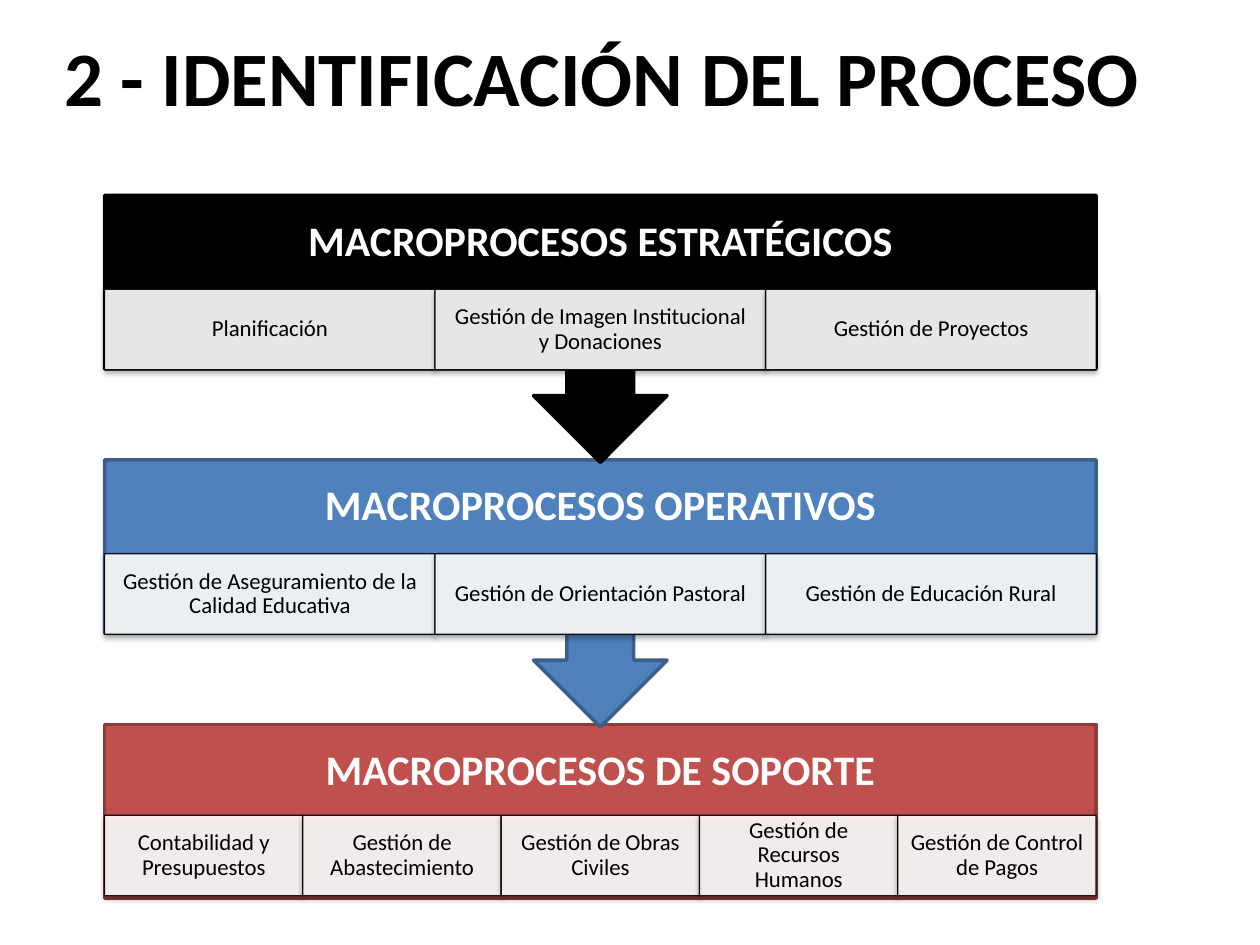
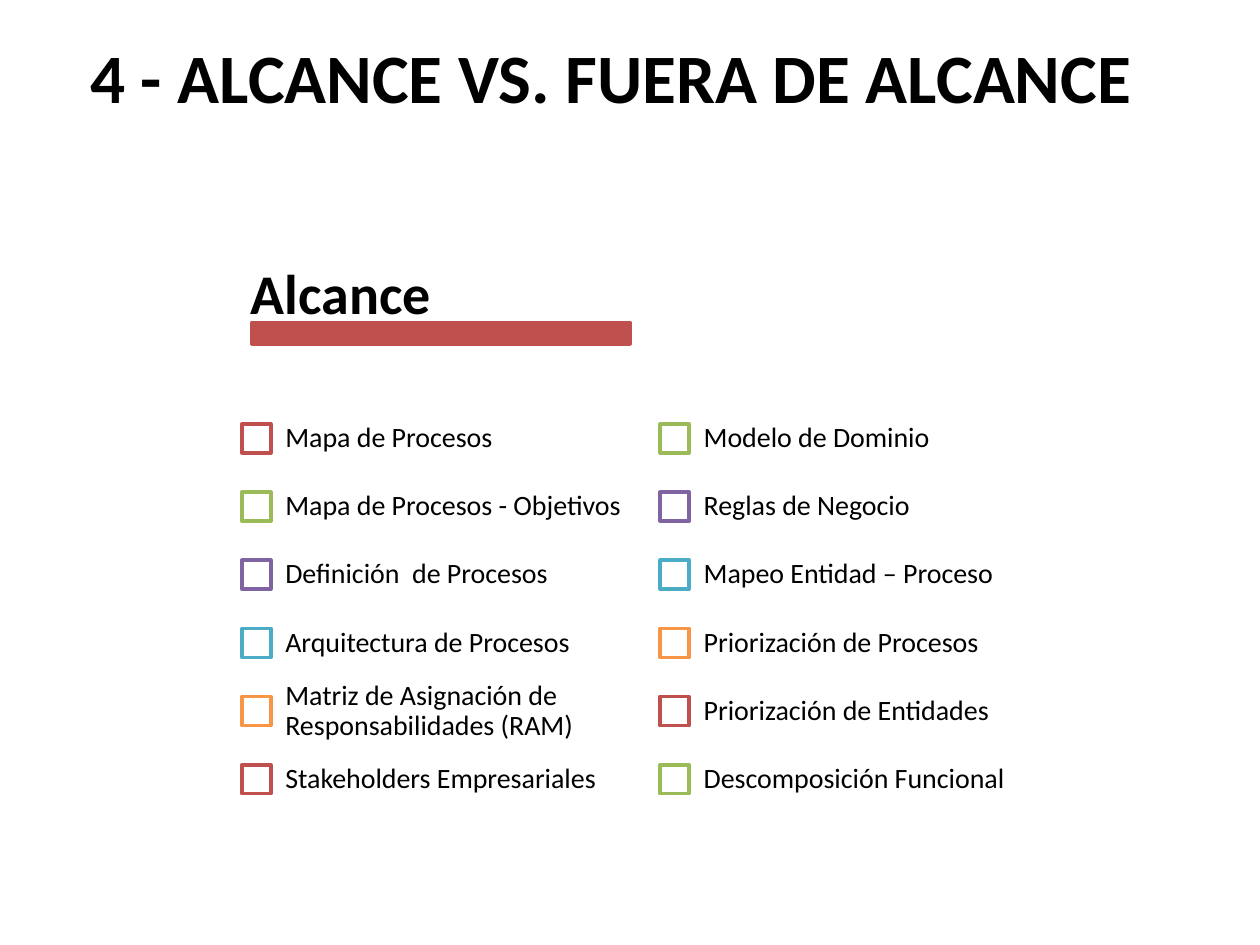
from lxml import etree
from pptx import Presentation
from pptx.dml.color import RGBColor
from pptx.enum.shapes import MSO_SHAPE
from pptx.enum.text import MSO_ANCHOR, PP_ALIGN
from pptx.oxml.ns import qn
from pptx.util import Inches, Pt

RECT = MSO_SHAPE.RECTANGLE
CALLOUT = MSO_SHAPE.DOWN_ARROW_CALLOUT
MIDDLE = MSO_ANCHOR.MIDDLE
LEFT, CENTER = PP_ALIGN.LEFT, PP_ALIGN.CENTER

COLS, ROWS = 100, 75
FONT = "Calibri"
COLORS = {
    "black": "000000", "white": "FFFFFF",
    "blue": "4F81BD", "navy": "3A5F8C",
    "red": "C0504D", "wine": "8E3B39",
    "green": "9BBB59", "purple": "8064A2",
    "teal": "4BACC6", "orange": "F79646",
}
CYCLE = ["red", "green", "purple", "teal", "orange"]

# heading, fill, edge, cell offset below the band's top, cells
BANDS = [
    ("MACROPROCESOS ESTRATÉGICOS", "black", "black", 7.45,
     ["Planificación", "Gestión de Imagen Institucional y Donaciones",
      "Gestión de Proyectos"]),
    ("MACROPROCESOS OPERATIVOS", "blue", "navy", 7.45,
     ["Gestión de Aseguramiento de la Calidad Educativa",
      "Gestión de Orientación Pastoral", "Gestión de Educación Rural"]),
    ("MACROPROCESOS DE SOPORTE", "red", "wine", 7.2,
     ["Contabilidad y Presupuestos", "Gestión de Abastecimiento",
      "Gestión de Obras Civiles", "Gestión de Recursos Humanos",
      "Gestión de Control de Pagos"]),
]
SCOPE = [
    "Mapa de Procesos", "Mapa de Procesos - Objetivos",
    "Definición  de Procesos", "Arquitectura de Procesos",
    "Matriz de Asignación de Responsabilidades (RAM)",
    "Stakeholders Empresariales",
    "Modelo de Dominio", "Reglas de Negocio", "Mapeo Entidad – Proceso",
    "Priorización de Procesos", "Priorización de Entidades",
    "Descomposición Funcional",
]


def rgb(name):
    return RGBColor.from_string(COLORS[name])


def fade(fill, share):
    """Make a solid fill partly see-through; share is the opacity in percent."""
    color = fill.find(".//" + qn("a:srgbClr"))
    etree.SubElement(color, qn("a:alpha"), val=str(share * 1000))


class Deck:
    def __init__(self):
        self.prs = Presentation()
        self.prs.slide_width = Inches(10)
        self.prs.slide_height = Inches(7.5)
        self.slide = None

    def place(self, col, row, wide, high):
        """Turn grid columns and rows into slide lengths."""
        dx = self.prs.slide_width / COLS
        dy = self.prs.slide_height / ROWS
        return [round(n) for n in (col * dx, row * dy, wide * dx, high * dy)]

    def page(self, title, size, col):
        self.slide = self.prs.slides.add_slide(self.prs.slide_layouts[6])
        self.text(title, (col, 1.4, 90, 10.1), size, bold=True, align=CENTER)

    def label(self, shape, text, size, color="black", bold=False,
              align=LEFT, pad=(0.1, 0.05), lead=0.9):
        frame = shape.text_frame
        frame.text = text
        frame.word_wrap = True
        frame.vertical_anchor = MIDDLE
        frame.margin_left = frame.margin_right = Inches(pad[0])
        frame.margin_top = frame.margin_bottom = Inches(pad[1])
        for para in frame.paragraphs:
            para.alignment = align
            para.line_spacing = lead
            for run in para.runs:
                run.font.name = FONT
                run.font.size = Pt(size)
                run.font.bold = bold
                run.font.color.rgb = rgb(color)

    def text(self, text, box, size, **style):
        shape = self.slide.shapes.add_textbox(*self.place(*box))
        self.label(shape, text, size, **style)

    def block(self, box, fill, edge, kind=RECT, width=2):
        shape = self.slide.shapes.add_shape(kind, *self.place(*box))
        shape.shadow.inherit = False
        shape.fill.solid()
        shape.fill.fore_color.rgb = rgb(fill)
        shape.line.color.rgb = rgb(edge)
        shape.line.width = Pt(width)
        return shape

    def cell(self, text, box):
        """Draw a slightly see-through box with a soft shadow below it."""
        shape = self.block(box, "white", "black", width=0.75)
        props = shape._element.spPr
        fade(props.find(qn("a:solidFill")), 90)
        fade(props.find(qn("a:ln")), 90)
        glow = etree.SubElement(
            props.find(qn("a:effectLst")), qn("a:outerShdw"),
            blurRad=str(int(Pt(3.1))), dist=str(int(Pt(1.8))), dir="5400000",
            rotWithShape="0")
        etree.SubElement(glow, qn("a:srgbClr"), val=COLORS["black"])
        fade(glow, 35)
        self.label(shape, text, 13, align=CENTER, pad=(0.1, 0.02))

    def band(self, row, data, last):
        head, fill, edge, drop, cells = data
        left, wide = 8.3, 78.7
        kind, high = (RECT, 13.8) if last else (CALLOUT, 21.2)
        self.block((left, row, wide, high), fill, edge, kind)
        self.text(head, (left, row, wide, 7.5), 24, color="white", bold=True,
                  align=CENTER, pad=(0.19, 0.19))
        step = wide / len(cells)
        for i, name in enumerate(cells):
            self.cell(name, (left + i * step, row + drop, step, 6.4))

    def check(self, text, col, row, color):
        self.block((col, row + 1.55, 2.3, 2.3), "white", color)
        self.text(text, (col + 2.25, row, 29.4, 5.4), 16, pad=(0.12, 0.12))


def main():
    deck = Deck()

    deck.page("2 - IDENTIFICACIÓN DEL PROCESO", 44, 2.8)
    last = len(BANDS) - 1
    for i in range(last, -1, -1):  # upward, so each arrow tip lies on top
        deck.band(15.5 + 21 * i, BANDS[i], i == last)

    deck.page("4 - ALCANCE VS. FUERA DE ALCANCE", 39.6, 3.5)
    deck.block((20, 25.6, 30, 1.7), "red", "red")
    deck.text("Alcance", (19.2, 20.2, 31.6, 6.7), 32, bold=True,
              pad=(0.07, 0.04))
    half = len(SCOPE) // 2
    for i, name in enumerate(SCOPE):
        col, row = divmod(i, half)
        deck.check(name, 19.2 + 33.2 * col, 32.1 + 5.41 * row,
                   CYCLE[i % len(CYCLE)])

    deck.prs.save("out.pptx")


if __name__ == "__main__":
    main()
